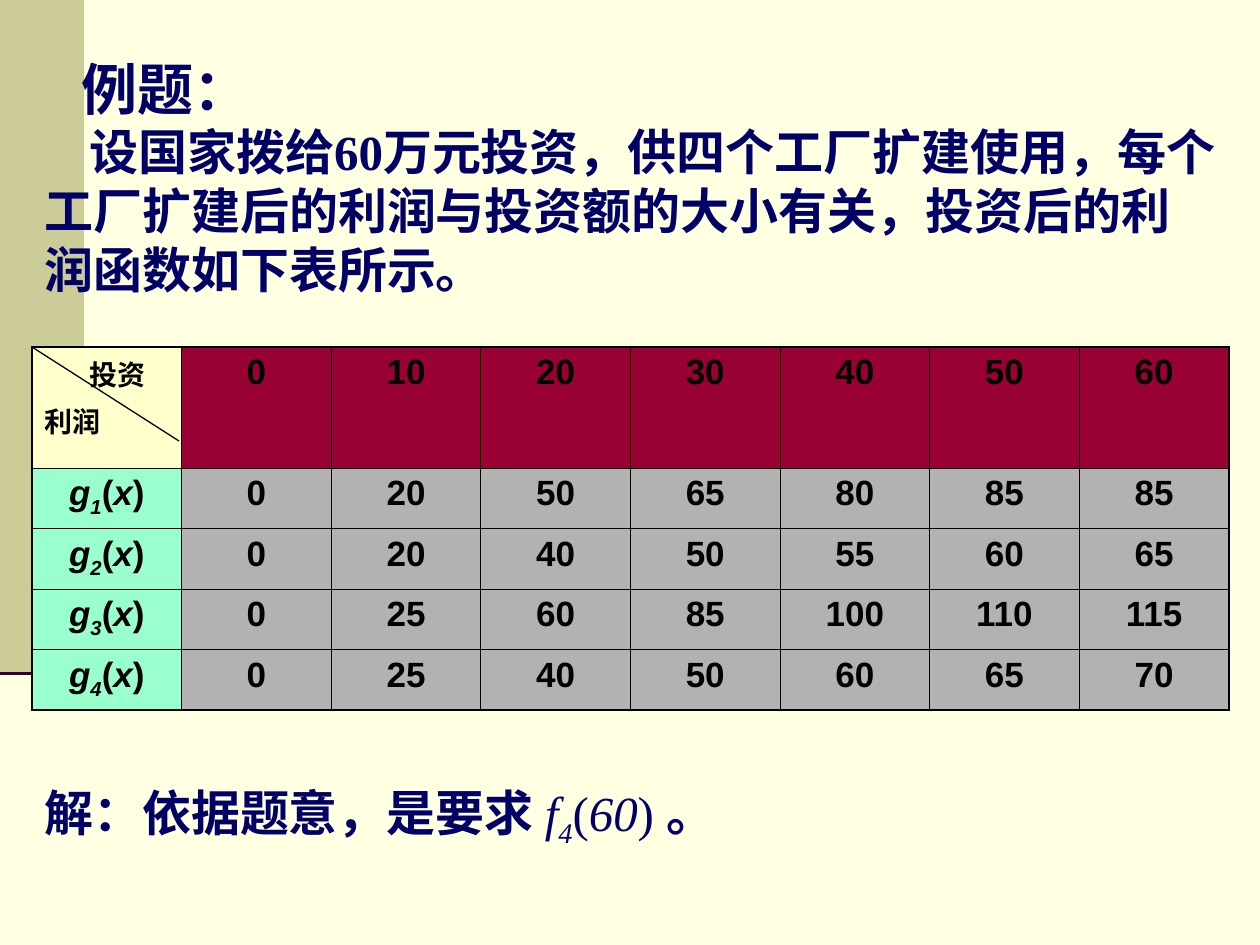
from dataclasses import dataclass

from lxml import etree
from pptx import Presentation
from pptx.dml.color import RGBColor
from pptx.enum.shapes import MSO_CONNECTOR, MSO_SHAPE
from pptx.enum.text import MSO_ANCHOR, MSO_AUTO_SIZE, PP_ALIGN
from pptx.oxml.ns import qn
from pptx.util import Pt

STRAIGHT = MSO_CONNECTOR.STRAIGHT
RECTANGLE = MSO_SHAPE.RECTANGLE
TOP = MSO_ANCHOR.TOP
NO_AUTOSIZE = MSO_AUTO_SIZE.NONE
LEFT, CENTER = PP_ALIGN.LEFT, PP_ALIGN.CENTER

CREAM = RGBColor(0xFF, 0xFF, 0xE1)
OLIVE = RGBColor(0xCC, 0xCC, 0x99)
PLUM = RGBColor(0x33, 0x00, 0x33)
NAVY = RGBColor(0x00, 0x00, 0x66)
BLACK = RGBColor(0x00, 0x00, 0x00)
CORNER_FILL = RGBColor(0xFF, 0xFF, 0xCC)
HEADER_FILL = RGBColor(0x99, 0x00, 0x33)
LABEL_FILL = RGBColor(0x99, 0xFF, 0xCC)
VALUE_FILL = RGBColor(0xB2, 0xB2, 0xB2)

SERIF, SANS = "Times New Roman", "Arial"
INNER_BORDER, OUTER_BORDER = 0.45, 1.08

INVESTMENTS = [0, 10, 20, 30, 40, 50, 60]
PROFITS = [
    [0, 20, 50, 65, 80, 85, 85],
    [0, 20, 40, 50, 55, 60, 65],
    [0, 25, 60, 85, 100, 110, 115],
    [0, 25, 40, 50, 60, 65, 70],
]


@dataclass(frozen=True)
class Piece:
    text: str
    bold: bool = True
    italic: bool = False
    subscript: bool = False


@dataclass(frozen=True)
class Style:
    font: str
    size: int
    color: RGBColor


def px(length: int) -> int:
    return round(length * 914400 / 126)


def format_run(run, style: Style, piece: Piece) -> None:
    font = run.font
    font.name, font.size = style.font, Pt(style.size)
    font.color.rgb = style.color
    font.bold, font.italic = piece.bold, piece.italic
    if piece.subscript:
        run._r.get_or_add_rPr().set("baseline", "-25000")


def write_pieces(paragraph, style: Style, pieces: list[Piece]) -> None:
    for piece in pieces:
        run = paragraph.add_run()
        run.text = piece.text
        format_run(run, style, piece)


def format_paragraph(paragraph, style: Style, indent: int = 0) -> None:
    paragraph.alignment = LEFT
    paragraph._p.get_or_add_pPr().set("indent", str(px(indent)))
    for run in paragraph.runs:
        format_run(run, style, Piece(run.text))


def add_line(slide, start: tuple[int, int], end: tuple[int, int],
             color: RGBColor, width: float):
    line = slide.shapes.add_connector(STRAIGHT, *map(px, start + end))
    line.line.color.rgb, line.line.width = color, Pt(width)
    etree.SubElement(line.element.spPr, qn("a:effectLst"))
    return line


def set_border(cell, side: str, width: float) -> None:
    border = etree.SubElement(cell._tc.get_or_add_tcPr(), qn(f"a:ln{side}"),
                              w=str(Pt(width)))
    fill = etree.SubElement(border, qn("a:solidFill"))
    etree.SubElement(fill, qn("a:srgbClr"), val=str(BLACK))


def add_decoration(slide, title) -> None:
    line = add_line(slide, (0, 672), (84, 672), PLUM, 3.5)
    band = slide.shapes.add_shape(RECTANGLE, 0, 0, px(84), px(672))
    band.shadow.inherit = False
    band.fill.solid()
    band.fill.fore_color.rgb = OLIVE
    band.line.fill.background()
    for shape in (line, band):  # keep both behind the text
        title.element.addprevious(shape.element)


def add_problem(slide) -> None:
    title = slide.shapes.title
    title.left, title.top, title.width, title.height = map(px, (32, 48, 1197, 257))
    frame = title.text_frame
    frame.text = ("例题：\n设国家拨给60万元投资，供四个工厂扩建使用，"
                  "每个工厂扩建后的利润与投资额的大小有关，投资后的利润函数如下表所示。")
    frame.word_wrap, frame.auto_size = True, NO_AUTOSIZE
    frame.vertical_anchor = TOP
    heading, statement = frame.paragraphs
    format_paragraph(heading, Style(SERIF, 32, NAVY), 37)
    format_paragraph(statement, Style(SERIF, 28, NAVY), 45)
    add_decoration(slide, title)


def add_profit_table(slide) -> None:
    rows, columns = len(PROFITS) + 1, len(INVESTMENTS) + 1
    table = slide.shapes.add_table(rows, columns, px(32), px(347),
                                   px(1197), px(363)).table
    for column in table.columns:
        column.width = px(1197) // columns
    table.rows[0].height = px(121)
    for index in range(1, rows):
        table.rows[index].height = px(242) // len(PROFITS)

    style = Style(SANS, 20, BLACK)
    for row, values in enumerate([INVESTMENTS, *PROFITS]):
        for column in range(columns):
            cell = table.cell(row, column)
            # Heavier rules around the outside
            outer_sides = {"L": column == 0, "R": column == columns - 1,
                           "T": row == 0, "B": row == rows - 1}
            for side, outer in outer_sides.items():
                set_border(cell, side, OUTER_BORDER if outer else INNER_BORDER)
            cell.fill.solid()
            if row == 0:
                fill = HEADER_FILL if column else CORNER_FILL
            else:
                fill = VALUE_FILL if column else LABEL_FILL
            cell.fill.fore_color.rgb = fill

            paragraph = cell.text_frame.paragraphs[0]
            paragraph.alignment = CENTER
            if column:
                write_pieces(paragraph, style, [Piece(str(values[column - 1]))])
            elif row:
                write_pieces(paragraph, style, [
                    Piece("g", italic=True),
                    Piece(str(row), italic=True, subscript=True),
                    Piece("("), Piece("x", italic=True), Piece(")")])

    # Corner cell split by a diagonal
    corner = table.cell(0, 0).text_frame
    corner.text = "投资\n利润"
    for paragraph, indent in zip(corner.paragraphs, (45, 0)):
        format_paragraph(paragraph, Style(SANS, 16, BLACK), indent)
    corner.paragraphs[1].space_before = Pt(4)
    add_line(slide, (179, 441), (32, 347), BLACK, 0.75)


def add_solution(slide) -> None:
    box = slide.shapes.add_textbox(*map(px, (32, 776, 1197, 79)))
    frame = box.text_frame
    frame.word_wrap = True
    write_pieces(frame.paragraphs[0], Style(SERIF, 28, NAVY), [
        Piece("解：依据题意，是要求 "),
        Piece("f", bold=False, italic=True),
        Piece("4", bold=False, italic=True, subscript=True),
        Piece("(", bold=False),
        Piece("60", bold=False, italic=True),
        Piece(") ", bold=False),
        Piece("。")])


def main() -> None:
    presentation = Presentation()
    presentation.slide_width, presentation.slide_height = px(1260), px(945)
    slide = presentation.slides.add_slide(presentation.slide_layouts[5])
    slide.background.fill.solid()
    slide.background.fill.fore_color.rgb = CREAM
    add_problem(slide)
    add_profit_table(slide)
    add_solution(slide)
    presentation.save("out.pptx")


if __name__ == "__main__":
    main()
